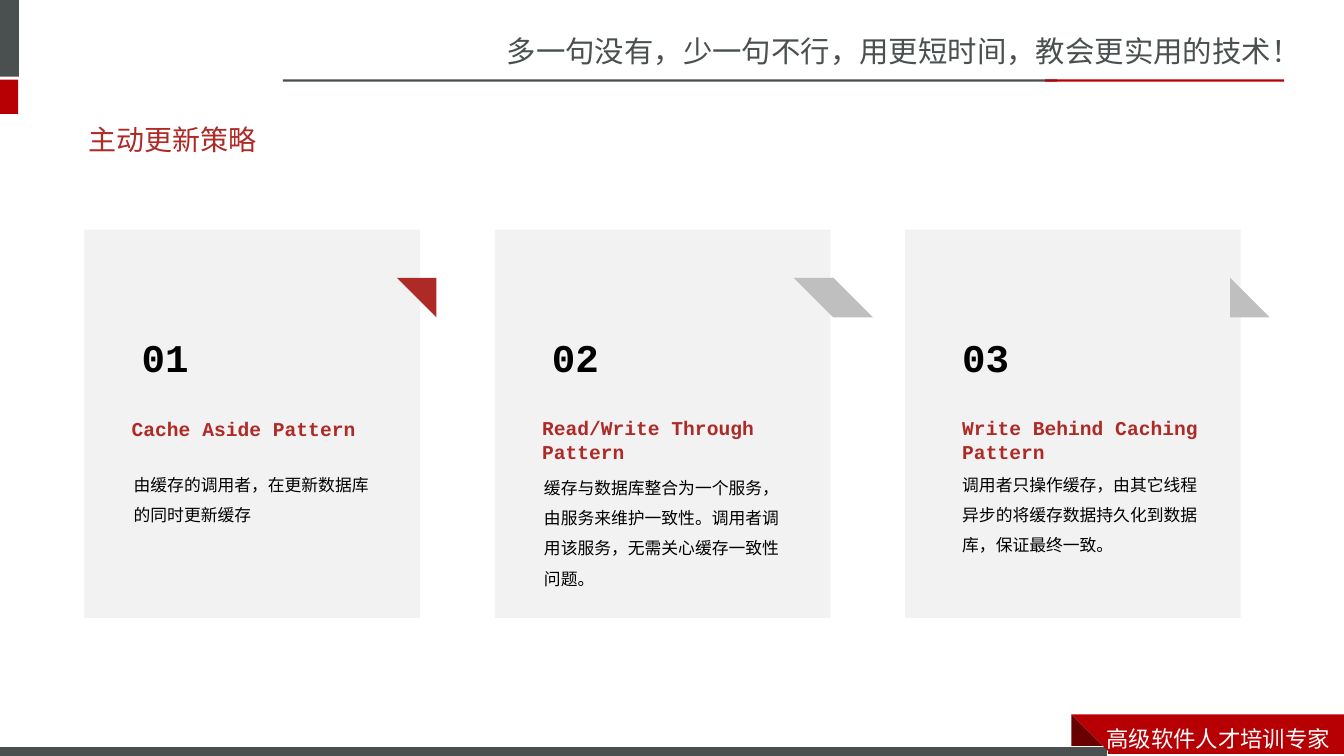
"""Build the slide on active cache update strategies."""
from math import cos, pi, sin

from lxml import etree
from pptx import Presentation
from pptx.dml.color import RGBColor
from pptx.enum.shapes import MSO_SHAPE
from pptx.enum.text import MSO_ANCHOR, PP_ALIGN
from pptx.oxml.ns import qn
from pptx.util import Cm, Pt

RECTANGLE = MSO_SHAPE.RECTANGLE
TOP, MIDDLE = MSO_ANCHOR.TOP, MSO_ANCHOR.MIDDLE
LEFT = PP_ALIGN.LEFT

SLATE, RED, DARK_RED = "49504F", "B60004", "680000"
BRICK, SILVER, GREY = "AD2A26", "BFBFBF", "808080"
BLACK, WHITE = "000000", "FFFFFF"
CJK, CODE, SANS = "Noto Sans CJK SC", "Courier New", "Arial"

TITLE = "主动更新策略"
SLOGAN = "多一句没有，少一句不行，用更短时间，教会更实用的技术！"
MOTTO = "高级软件人才培训专家"

PATTERNS = [
    dict(name="Cache Aside Pattern",
         detail="由缓存的调用者，在更新数据库的同时更新缓存",
         tag=BRICK, name_height=0.86, name_inset=0, detail_at=(0.99, 11.58), detail_height=1.73),
    dict(name="Read/Write Through Pattern",
         detail="缓存与数据库整合为一个服务，由服务来维护一致性。调用者调用该服务，无需关心缓存一致性问题。",
         tag=SILVER, name_height=1.45, name_inset=0, detail_at=(0.99, 11.66), detail_height=3.25),
    dict(name="Write Behind Caching Pattern",
         detail="调用者只操作缓存，由其它线程异步的将缓存数据持久化到数据库，保证最终一致。",
         tag=SILVER, name_height=1.45, name_inset=0.25, detail_at=(1.19, 11.58), detail_height=2.49),
]

HEADER_BARS = [
    ((0, 0, 0.48, 1.93), SLATE),
    ((0, 2.01, 0.46, 0.86), RED),
    ((7.13, 2, 19.51, 0.06), SLATE),
    ((26.34, 2, 6.02, 0.06), RED),
]
FOOTER_BAR = (0, 18.82, 27.91, 0.3)
FOLD = [(27.25, 18.29), (27.81, 18.85), (27.79, 18.87), (26.72, 18.87), (26.7, 18.85)]
RIBBON = [(27.25, 18.29), (33.87, 18.29), (33.87, 19.14), (27.58, 19.13)]

CARD_LEFT, CARD_TOP, CARD_WIDTH, CARD_HEIGHT = 2.13, 5.79, 8.46, 9.78
CARD_PITCH, TEXT_INDENT, TEXT_WIDTH = 10.34, 1.19, 6.5
NUMBER_TOP, NUMBER_HEIGHT, NAME_TOP = 8.26, 1.45, 10.36
TAG_OUTLINE = [(7.92, 6.58), (8.48, 6.65), (9.14, 7.67), (8.43, 8.13), (7.77, 7.11)]
HOLE_X, HOLE_Y, HOLE_RADIUS, HOLE_STEPS = 8.13, 6.87, 0.1, 24


def color(hex_code):
    return RGBColor.from_string(hex_code)


def paint(shape, fill, line=None):
    shape.shadow.inherit = False
    shape.fill.solid()
    shape.fill.fore_color.rgb = color(fill)
    if line:
        shape.line.color.rgb = color(line)
        shape.line.width = Pt(0.75)
    else:
        shape.line.fill.background()


def add_bar(slide, box, fill, line=None):
    bar = slide.shapes.add_shape(RECTANGLE, *map(Cm, box))
    paint(bar, fill, line)
    return bar


def add_outline(slide, contours, fill):
    first, *others = contours
    builder = slide.shapes.build_freeform(*first[0], scale=Cm(1))
    builder.add_line_segments(first[1:], close=True)
    for contour in others:
        builder.move_to(*contour[0])
        builder.add_line_segments(contour[1:], close=True)
    paint(builder.convert_to_shape(), fill)


def write(shape, text, size, font, fill, bold=False, anchor=TOP, inset=0.25, spacing=None):
    frame = shape.text_frame
    frame.word_wrap = True
    frame.vertical_anchor = anchor
    frame.margin_left = frame.margin_right = Cm(inset)
    paragraph = frame.paragraphs[0]
    paragraph.alignment = LEFT
    if spacing:
        paragraph.line_spacing = spacing
    run = paragraph.add_run()
    run.text = text
    run.font.size = Pt(size)
    run.font.bold = bold
    run.font.name = font
    run.font.color.rgb = color(fill)
    etree.SubElement(run.font._element, qn("a:ea")).set("typeface", CJK)


def add_text(slide, box, *args, **style):
    write(slide.shapes.add_textbox(*map(Cm, box)), *args, **style)


def add_card(slide, index, pattern):
    shift = index * CARD_PITCH
    left = CARD_LEFT + shift
    text_left = left + TEXT_INDENT
    detail_indent, detail_top = pattern["detail_at"]

    card = add_bar(slide, (left, CARD_TOP, CARD_WIDTH, CARD_HEIGHT), GREY)
    tint = card.fill._xPr.find(".//" + qn("a:srgbClr"))
    etree.SubElement(tint, qn("a:alpha")).set("val", "10000")

    tag = [(left + x, y) for x, y in TAG_OUTLINE]
    angles = [-2 * pi * step / HOLE_STEPS for step in range(HOLE_STEPS)]
    hole = [(left + HOLE_X + HOLE_RADIUS * cos(a), HOLE_Y + HOLE_RADIUS * sin(a)) for a in angles]
    add_outline(slide, [tag, hole], pattern["tag"])

    add_text(slide, (text_left, NUMBER_TOP, TEXT_WIDTH, NUMBER_HEIGHT),
             f"{index + 1:02}", 28, CODE, BLACK, bold=True, anchor=MIDDLE)
    add_text(slide, (text_left, NAME_TOP, TEXT_WIDTH, pattern["name_height"]),
             pattern["name"], 14, CODE, BRICK, bold=True, anchor=MIDDLE,
             inset=pattern["name_inset"])
    add_text(slide, (left + detail_indent, detail_top, TEXT_WIDTH, pattern["detail_height"]),
             pattern["detail"], 12, CODE, BLACK, spacing=1.5)


def main():
    deck = Presentation()
    deck.slide_width, deck.slide_height = Cm(33.87), Cm(19.05)
    slide = deck.slides.add_slide(deck.slide_layouts[5])

    title = slide.shapes.title
    title.left, title.top, title.width, title.height = map(Cm, (1.98, 2.95, 29.72, 1.12))
    write(title, TITLE, 20, SANS, BRICK, anchor=MIDDLE)

    add_text(slide, (12.52, 0.71, 21.36, 1.19), SLOGAN, 21, CJK, SLATE)
    for box, fill in HEADER_BARS:
        add_bar(slide, box, fill)

    add_outline(slide, [FOLD], DARK_RED)
    add_bar(slide, FOOTER_BAR, SLATE, WHITE)
    add_outline(slide, [RIBBON], RED)
    add_text(slide, (27.64, 18.16, 6.23, 0.94), MOTTO, 16, CJK, WHITE)

    for index, pattern in enumerate(PATTERNS):
        add_card(slide, index, pattern)

    deck.save("out.pptx")


if __name__ == "__main__":
    main()
